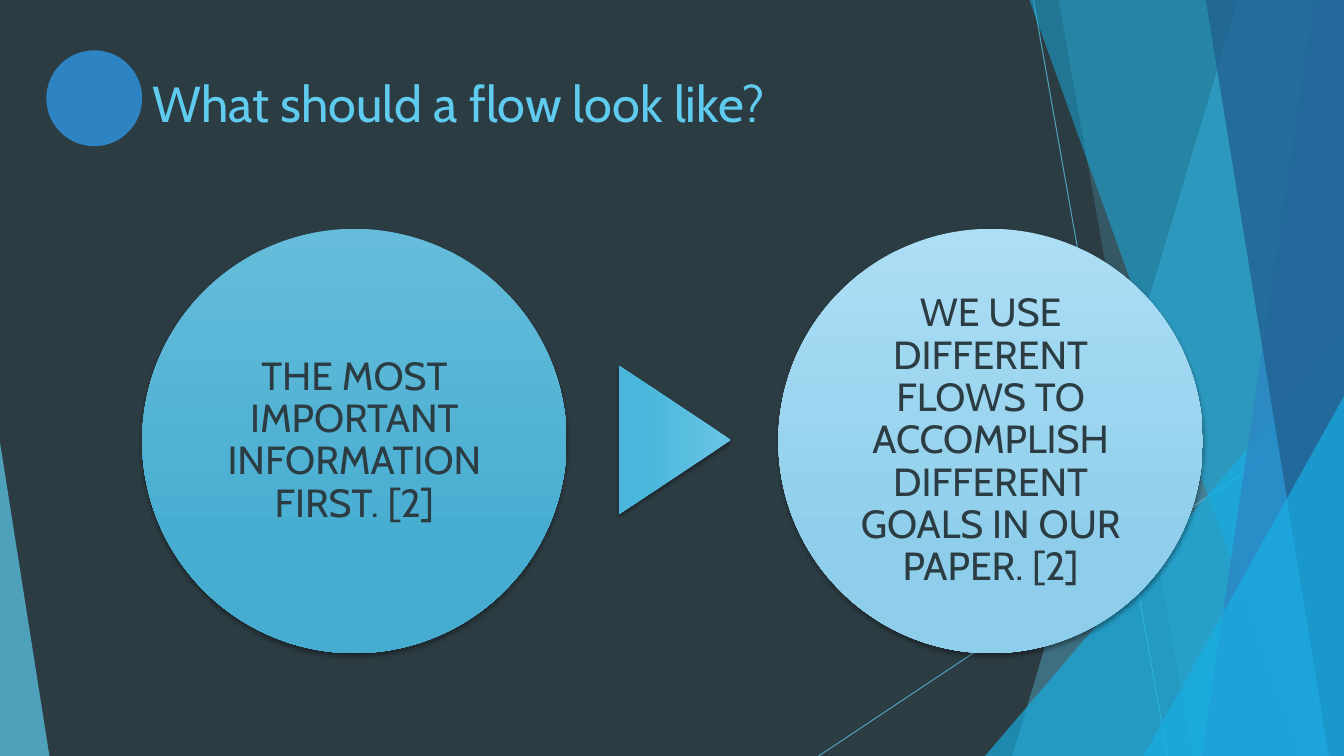
from lxml.etree import SubElement
from pptx import Presentation
from pptx.dml.color import RGBColor
from pptx.enum.shapes import MSO_CONNECTOR, MSO_SHAPE
from pptx.enum.text import MSO_ANCHOR, PP_ALIGN
from pptx.oxml.ns import qn
from pptx.util import Inches, Pt

WIDTH, HEIGHT = 13.33, 7.5
DARK, SKY, CYAN, BLUE, NAVY = "2C3C43", "5FCBEF", "17B0E4", "2E83C3", "226292"
FONT = "Cabin"


def set_color(color_format, hex_color, opacity=100):
    """Set a colour from a hex string, with an opacity in percent."""
    color_format.rgb = RGBColor.from_string(hex_color)
    if opacity < 100:
        for color in color_format._xFill.iter(qn("a:srgbClr")):
            SubElement(color, qn("a:alpha"), val=str(opacity * 1000))


def set_solid(shape, hex_color, opacity=100):
    """Give a shape a flat fill with no outline or shadow."""
    shape.shadow.inherit = False
    shape.line.fill.background()
    shape.fill.solid()
    set_color(shape.fill.fore_color, hex_color, opacity)


def set_gradient(shape, top_color, bottom_color):
    """Give a shape a downward gradient and a soft shadow."""
    shape.shadow.inherit = False
    shape.line.fill.background()
    shape.fill.gradient()
    shape.fill.gradient_angle = 270
    stops = zip(shape.fill.gradient_stops, (0, 0.78), (top_color, bottom_color))
    for stop, position, hex_color in stops:
        stop.position = position
        stop.color.rgb = RGBColor.from_string(hex_color)
    effects = shape._element.spPr.find(qn("a:effectLst"))
    shadow = SubElement(effects, qn("a:outerShdw"), blurRad=str(Pt(3)),
                        dist=str(Pt(2)), dir="5400000", rotWithShape="0")
    color = SubElement(shadow, qn("a:srgbClr"), val="000000")
    SubElement(color, qn("a:alpha"), val="35000")


def add_preset(slide, preset, left, top, width, height):
    """Add a preset shape measured in inches."""
    return slide.shapes.add_shape(preset, Inches(left), Inches(top),
                                  Inches(width), Inches(height))


def add_thin_line(slide, start, end):
    """Add a thin translucent line between two points."""
    line = slide.shapes.add_connector(
        MSO_CONNECTOR.STRAIGHT, *(Inches(value) for value in start + end))
    line.line.width = Pt(0.75)
    set_color(line.line.color, SKY)
    for color in line._element.spPr.iter(qn("a:srgbClr")):
        SubElement(color, qn("a:alpha"), val="70000")
    SubElement(line._element.spPr, qn("a:effectLst"))


def add_facet(slide, top_left, bottom_left, hex_color, opacity):
    """Add a full-height facet that reaches the right edge of the slide."""
    builder = slide.shapes.build_freeform(Inches(top_left), 0)
    corners = [(WIDTH, 0), (WIDTH, HEIGHT), (bottom_left, HEIGHT)]
    builder.add_line_segments([(Inches(x), Inches(y)) for x, y in corners])
    set_solid(builder.convert_to_shape(), hex_color, opacity)


def add_corner(slide, left, width, height, peak, hex_color, opacity):
    """Add a right triangle that stands on the bottom edge of the slide."""
    triangle = add_preset(slide, MSO_SHAPE.ISOSCELES_TRIANGLE,
                          left, HEIGHT - height, width, height)
    triangle.adjustments[0] = peak
    set_solid(triangle, hex_color, opacity)


def add_backdrop(slide):
    """Draw the dark background with its lines and facets."""
    slide.background.fill.solid()
    set_color(slide.background.fill.fore_color, DARK)
    add_thin_line(slide, (10.25, 0), (11.58, HEIGHT))
    add_thin_line(slide, (WIDTH, 4.03), (8.12, HEIGHT))
    add_facet(slide, 12.28, 10.04, SKY, 36)
    add_facet(slide, 10.5, 11.83, SKY, 20)
    add_corner(slide, 9.77, 3.56, 4.17, 1, CYAN, 66)
    add_facet(slide, 10.21, 12.91, CYAN, 50)
    add_facet(slide, 13.03, 11.92, BLUE, 70)
    add_facet(slide, 11.96, 13.18, NAVY, 80)
    add_corner(slide, 11.34, 1.99, 3.57, 1, CYAN, 66)
    add_corner(slide, 0, 0.49, 3.11, 0, SKY, 70)


def add_run(paragraph, text, size, hex_color):
    """Add a formatted run to a paragraph."""
    run = paragraph.add_run()
    run.text = text
    run.font.name = FONT
    run.font.size = Pt(size)
    set_color(run.font.color, hex_color)


def add_title(slide, text):
    """Place and fill the title placeholder."""
    title = slide.shapes.title
    title.left, title.top = Inches(1.41), Inches(0.67)
    title.width, title.height = Inches(11.15), Inches(1.2)
    title.text_frame.vertical_anchor = MSO_ANCHOR.TOP
    paragraph = title.text_frame.paragraphs[0]
    paragraph.alignment = PP_ALIGN.LEFT
    add_run(paragraph, text, 36, SKY)


def add_step(slide, left, text, top_color, bottom_color):
    """Add a large circle with centred text."""
    circle = add_preset(slide, MSO_SHAPE.OVAL, left, 2.27, 4.21, 4.21)
    set_gradient(circle, top_color, bottom_color)
    frame = circle.text_frame
    frame.word_wrap = True
    frame.vertical_anchor = MSO_ANCHOR.MIDDLE
    frame.margin_left = frame.margin_right = Inches(0.04)
    frame.margin_top = frame.margin_bottom = Inches(0.04)
    paragraph = frame.paragraphs[0]
    paragraph.alignment = PP_ALIGN.CENTER
    paragraph.line_spacing = 0.9
    add_run(paragraph, text, 28, DARK)


def add_pointer(slide):
    """Add the triangle that points from the first step to the second."""
    pointer = add_preset(slide, MSO_SHAPE.ISOSCELES_TRIANGLE,
                         5.96, 3.81, 1.47, 1.11)
    pointer.rotation = 90
    set_gradient(pointer, "69C5E5", "49B7DB")


def main():
    """Build the slide and save it."""
    presentation = Presentation()
    presentation.slide_width = Inches(WIDTH)
    presentation.slide_height = Inches(HEIGHT)
    slide = presentation.slides.add_slide(presentation.slide_layouts[5])
    add_backdrop(slide)
    add_title(slide, "What should a flow look like?")
    add_step(slide, 1.41, "THE MOST IMPORTANT INFORMATION FIRST. [2]",
             "65BCDB", "46ADD0")
    add_pointer(slide)
    add_step(slide, 7.72, "WE USE DIFFERENT FLOWS TO ACCOMPLISH DIFFERENT "
             "GOALS IN OUR PAPER. [2]", "ACDEF5", "8ECEEA")
    set_solid(add_preset(slide, MSO_SHAPE.OVAL, 0.46, 0.5, 0.95, 0.95), BLUE)
    presentation.save("out.pptx")


if __name__ == "__main__":
    main()
